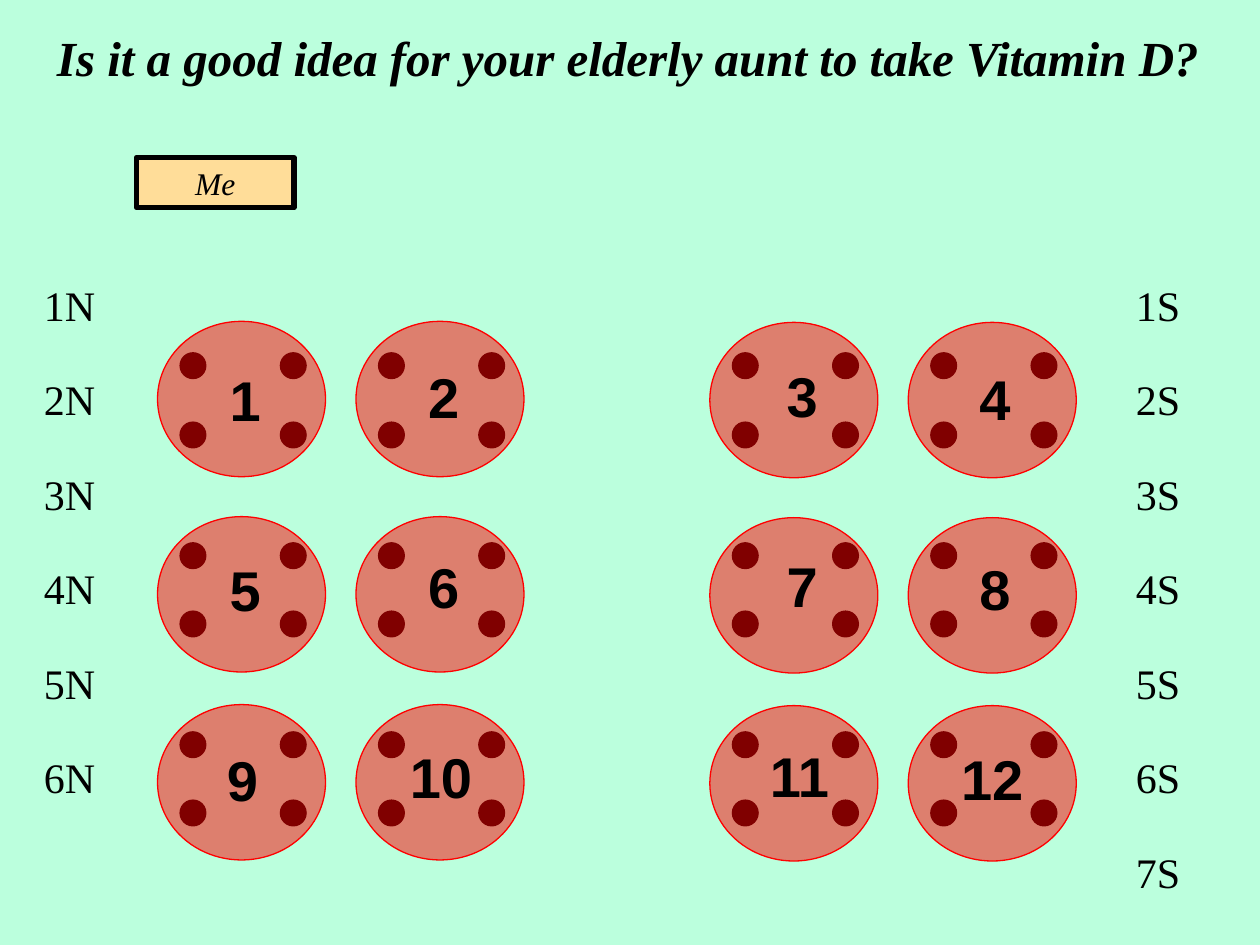
import itertools

import pptx
import pptx.dml.color
import pptx.enum.shapes
import pptx.enum.text
import pptx.util
from pptx.oxml.ns import qn
import lxml.etree

COLS, ROWS = 120, 90
SHAPE = pptx.enum.shapes.MSO_SHAPE
CENTER = pptx.enum.text.PP_ALIGN.CENTER
SERIF = {"name": "Times New Roman"}
TITLE = {**SERIF, "size": pptx.util.Pt(28), "bold": True, "italic": True}
ME = {**SERIF, "size": pptx.util.Pt(18), "italic": True}
LABEL = {**SERIF, "size": pptx.util.Pt(24)}
NUMBER = {"name": "Arial", "size": pptx.util.Pt(32), "bold": True}

prs = pptx.Presentation()
prs.slide_width = pptx.util.Inches(10)
prs.slide_height = pptx.util.Inches(7.5)


def color(value):
    return pptx.dml.color.RGBColor.from_string(value)


def grid(x, y, w, h):
    """Turn columns and rows of the slide grid into lengths."""
    cw, rh = prs.slide_width / COLS, prs.slide_height / ROWS
    return [round(v) for v in (x * cw, y * rh, w * cw, h * rh)]


def write(sp, text, font, align=None):
    tf = sp.text_frame
    tf.word_wrap = True
    tf.vertical_anchor = pptx.enum.text.MSO_ANCHOR.TOP
    p = tf.paragraphs[0]
    p.alignment = align
    r = p.add_run()
    r.text = text
    r.font.color.rgb = color("000000")
    for key, value in font.items():
        setattr(r.font, key, value)


def add_shape(s, kind, box, fill, line, width=0.75, alpha=None):
    sp = s.shapes.add_shape(kind, *grid(*box))
    sp.shadow.inherit = False
    sp.fill.solid()
    sp.fill.fore_color.rgb = color(fill)
    sp.line.color.rgb = color(line)
    sp.line.width = pptx.util.Pt(width)
    if alpha is not None:
        clr = sp.fill._xPr.find(qn("a:solidFill"))[0]
        lxml.etree.SubElement(clr, qn("a:alpha"), val=str(alpha * 1000))
    return sp


def add_text(s, box, text, font, align=None):
    write(s.shapes.add_textbox(*grid(*box)), text, font, align)


def add_title(s, box, text):
    sp = s.shapes.title
    sp.left, sp.top, sp.width, sp.height = grid(*box)
    write(sp, text, TITLE, CENTER)


def add_presenter(s, box):
    sp = add_shape(s, SHAPE.RECTANGLE, box, "FFDD99", "000000", 3)
    write(sp, "Me", ME, CENTER)


def add_row_labels(s, box, side, count):
    x, y, w, pitch = box
    for i in range(count):
        add_text(s, (x, y + i * pitch, w, 6), f"{i + 1}{side}", LABEL)


def add_table_seats(s, box, dot_y, number, number_at):
    """One round table: four seats under a see-through top, then its number."""
    x, y, w, h = box
    for dx, dy in itertools.product((2.15, 11.7), dot_y):
        add_shape(s, SHAPE.OVAL, (x + dx, dy, 2.45, 2.45), "000000", "000000")
    add_shape(s, SHAPE.OVAL, box, "FF0000", "FF0000", alpha=50)
    add_text(s, (*number_at, 10.7, 7.7), str(number), NUMBER, CENTER)


def add_bank(s, left, top, first, number_shift):
    """Two columns by three rows of tables."""
    rows = (0, 18.6, 36.5)
    dots = ((33.6, 40.2), (51.7, 58.2), (69.7, 76.2))
    for (r, dy), c in itertools.product(enumerate(rows), range(2)):
        dx, shift_y = number_shift[c]
        nudge = -0.25 if r == 2 else 0
        add_table_seats(s, (left + 18.9 * c, top + dy, 16, 14.8), dots[r],
                        first + 4 * r + c,
                        (left + dx + nudge, 34.2 + 18.1 * r + shift_y))


s = prs.slides.add_slide(prs.slide_layouts[5])
s.background.fill.solid()
s.background.fill.fore_color.rgb = color("BBFFDD")
add_presenter(s, (13, 15, 15, 4.8))
add_title(s, (0.8, 2, 118, 6.8),
          "Is it a good idea for your elderly aunt to take Vitamin D?")
add_row_labels(s, (3, 26, 8, 9), "N", 6)
add_row_labels(s, (107, 26, 8, 9), "S", 7)
add_bank(s, 15, 30.6, 1, ((3, 0), (21.9, -0.3)))
add_bank(s, 67.6, 30.7, 3, ((3.45, -0.4), (21.8, -0.1)))
prs.save("out.pptx")
